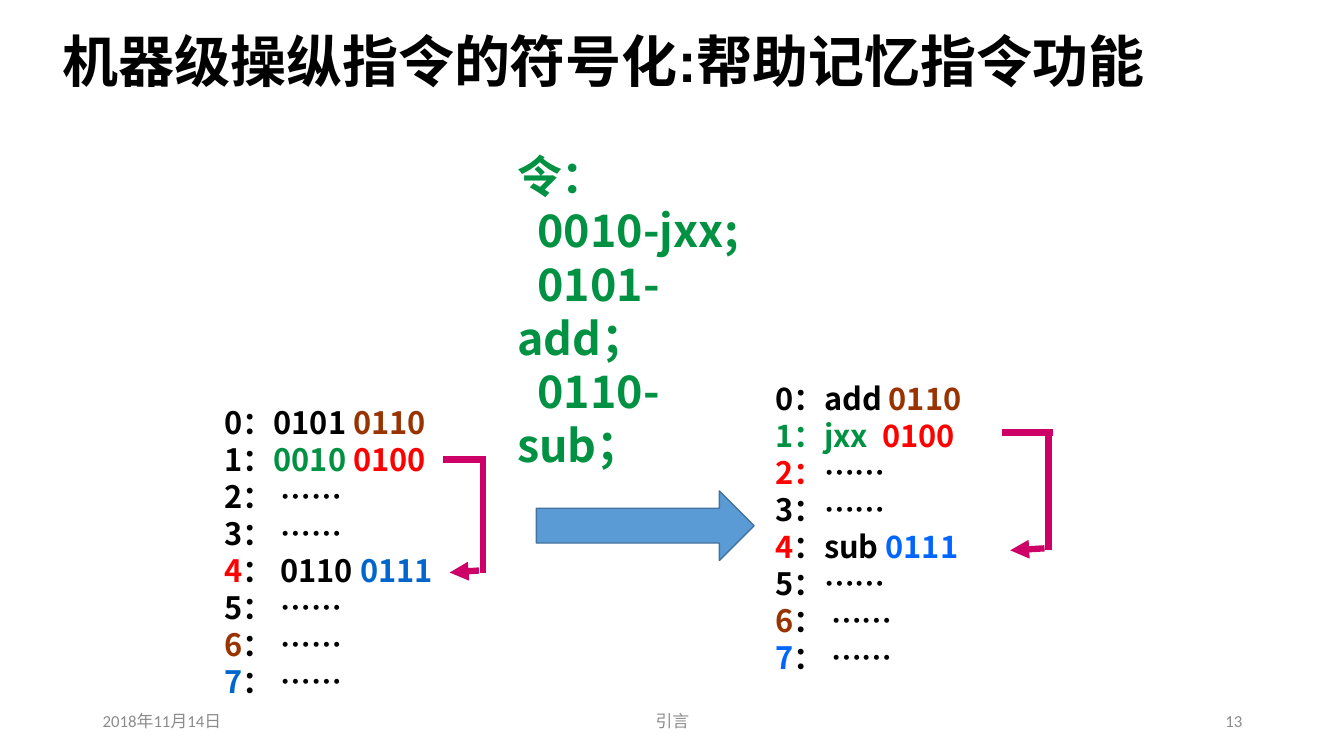
"""Builds a slide on naming machine instructions with mnemonics."""
from lxml import etree
from pptx import Presentation
from pptx.dml.color import RGBColor
from pptx.enum.shapes import MSO_CONNECTOR, MSO_SHAPE
from pptx.enum.text import MSO_ANCHOR, PP_ALIGN
from pptx.oxml.ns import qn
from pptx.util import Inches, Pt

LEFT, CENTER, RIGHT = PP_ALIGN.LEFT, PP_ALIGN.CENTER, PP_ALIGN.RIGHT
TOP, MIDDLE = MSO_ANCHOR.TOP, MSO_ANCHOR.MIDDLE
STRAIGHT, RIGHT_ARROW = MSO_CONNECTOR.STRAIGHT, MSO_SHAPE.RIGHT_ARROW
CJK = "Noto Sans CJK SC"
BLACK, GREEN, RED, BROWN = "000000", "009242", "FF0000", "993300"
GRAY, MAGENTA = "8C8C8C", "CC0066"
DEEP_BLUE, BRIGHT_BLUE = "0066CC", "0066FF"


def rgb(value):
    return RGBColor.from_string(value)


def add_text(box, lines, size, font, bold=True, align=LEFT, anchor=TOP, pitch=None):
    frame = slide.shapes.add_textbox(*(Inches(v) for v in box)).text_frame
    frame.word_wrap = True
    frame.vertical_anchor = anchor
    for number, line in enumerate(lines):
        paragraph = frame.add_paragraph() if number else frame.paragraphs[0]
        paragraph.alignment = align
        if pitch:
            paragraph.line_spacing = Pt(pitch)
        for text, color in line:
            run = paragraph.add_run()
            run.text = text
            run.font.size = Pt(size)
            run.font.bold = bold
            run.font.name = font
            run.font.color.rgb = rgb(color)
            etree.SubElement(run.font._element, qn("a:ea")).set("typeface", CJK)
    return frame


prs = Presentation()
prs.slide_width, prs.slide_height = Inches(13.33), Inches(7.5)
slide = prs.slides.add_slide(prs.slide_layouts[6])

for left, width, words, align in [
    (0.92, 3, "2018年11月14日", LEFT),
    (4.42, 4.5, "引言", CENTER),
    (9.42, 3, "13", RIGHT),
]:
    add_text((left, 6.95, width, 0.4), [[(words, GRAY)]], 12, "Calibri", False, align, MIDDLE)

title = add_text((0.52, 0.14, 11.89, 0.92), [[("机器级操纵指令的符号化:帮助记忆指令功能", BLACK)]],
                 40, "Arial", anchor=MIDDLE)
title_indent = title.paragraphs[0]._p.get_or_add_pPr()
title_indent.set("marL", str(Inches(0.13)))
title_indent.set("indent", str(Inches(-0.13)))

mnemonics = ["令：", "  0010-jxx;", "  0101-add；", "  0110-sub；"]
add_text((5.03, 1.43, 2.77, 2.26), [[(line, GREEN)] for line in mnemonics], 32, CJK, pitch=38.4)

binary_program = [
    [("0：0101 ", BLACK), ("0110", BROWN)],
    [("1：", BLACK), ("0010 ", GREEN), ("0100", RED)],
    [("2： ……", BLACK)],
    [("3： ……", BLACK)],
    [("4", RED), ("： 0110 ", BLACK), ("0111", DEEP_BLUE)],
    [("5： ……", BLACK)],
    [("6", BROWN), ("： ……", BLACK)],
    [("7", DEEP_BLUE), ("： ……", BLACK)],
]
symbolic_program = [
    [("0：add ", BLACK), ("0110", BROWN)],
    [("1：jxx  ", GREEN), ("0100", RED)],
    [("2：", RED), ("……", BLACK)],
    [("3：……", BLACK)],
    [("4", RED), ("：sub ", BLACK), ("0111", BRIGHT_BLUE)],
    [("5：……", BLACK)],
    [("6", BROWN), ("： ……", BLACK)],
    [("7", BRIGHT_BLUE), ("： ……", BLACK)],
]
add_text((2.13, 3.96, 2.65, 3.06), binary_program, 22, CJK, pitch=26.4)
add_text((7.59, 3.72, 2.96, 3.06), symbolic_program, 22, CJK, pitch=26.4)

binary_jump = [(4.39, 4.56, 4.82, 4.56), (4.79, 4.54, 4.79, 5.68), (4.75, 5.66, 4.46, 5.68)]
symbolic_jump = [(9.94, 4.29, 10.44, 4.29), (10.4, 4.28, 10.4, 5.46), (10.36, 5.44, 10.02, 5.46)]
for jump in (binary_jump, symbolic_jump):
    for ends in jump:
        segment = slide.shapes.add_connector(STRAIGHT, *(Inches(v) for v in ends))
        segment.line.color.rgb = rgb(MAGENTA)
        segment.line.width = Pt(4.5)
        etree.SubElement(segment._element.spPr, qn("a:effectLst"))
    etree.SubElement(segment.line._get_or_add_ln(), qn("a:tailEnd")).set("type", "triangle")

translation = slide.shapes.add_shape(RIGHT_ARROW, *(Inches(v) for v in (5.32, 4.87, 2.16, 0.69)))
translation.shadow.inherit = False
translation.fill.solid()
translation.fill.fore_color.rgb = rgb("5B9BD5")
translation.line.color.rgb = rgb("43739E")
translation.line.width = Pt(1)

prs.save("out.pptx")
